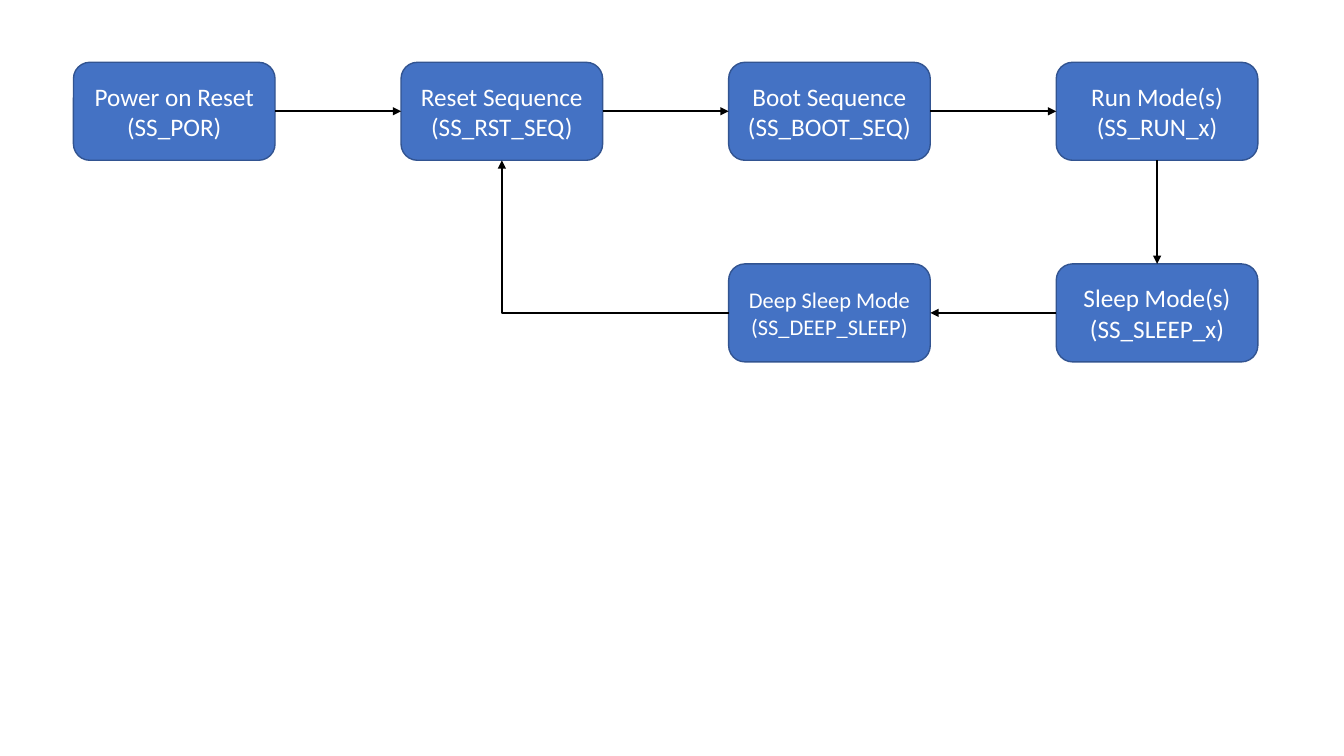
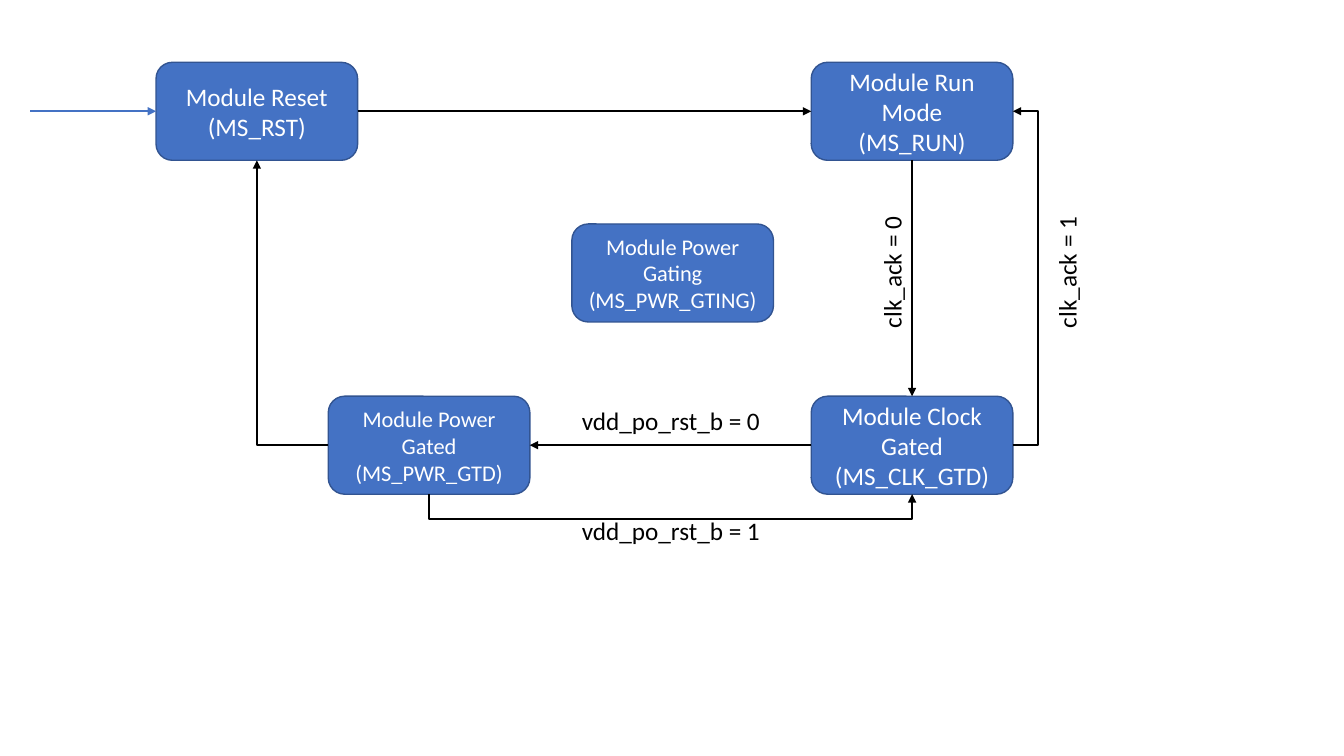
from lxml import etree
from pptx import Presentation
from pptx.dml.color import RGBColor
from pptx.enum.shapes import MSO_CONNECTOR, MSO_SHAPE
from pptx.enum.text import MSO_ANCHOR, PP_ALIGN
from pptx.oxml.ns import qn
from pptx.util import Pt

STRAIGHT = MSO_CONNECTOR.STRAIGHT
ROUNDED = MSO_SHAPE.ROUNDED_RECTANGLE
MIDDLE = MSO_ANCHOR.MIDDLE
CENTER = PP_ALIGN.CENTER

BLUE = RGBColor(0x44, 0x72, 0xC4)
DARK_BLUE = RGBColor(0x32, 0x54, 0x91)
WHITE = RGBColor(0xFF, 0xFF, 0xFF)
BLACK = RGBColor(0x00, 0x00, 0x00)

FONT = "Calibri"
BOX_WIDTH, BOX_HEIGHT = 144, 70
TOP_ROW = 44.5
DETOUR = Pt(18)  # distance of a looping arrow from its boxes

# Connection sites of a rounded rectangle
TOP, LEFT, BOTTOM, RIGHT = range(4)


def add_state(slide, text, left, top, size=18):
    shape = slide.shapes.add_shape(ROUNDED, Pt(left), Pt(top), Pt(BOX_WIDTH), Pt(BOX_HEIGHT))
    shape.shadow.inherit = False
    shape.fill.solid()
    shape.fill.fore_color.rgb = BLUE
    shape.line.color.rgb = DARK_BLUE
    shape.line.width = Pt(1)
    shape.text_frame.vertical_anchor = MIDDLE
    paragraph = shape.text_frame.paragraphs[0]
    paragraph.alignment = CENTER
    run = paragraph.add_run()
    run.text = text
    run.font.name, run.font.size = FONT, Pt(size)
    run.font.color.rgb = WHITE
    return shape


def style_arrow(shape, color=BLACK):
    shape.line.color.rgb = color
    shape.line.width = Pt(1.5)
    properties = shape._element.spPr
    etree.SubElement(properties.find(qn("a:ln")), qn("a:tailEnd"), type="triangle")
    etree.SubElement(properties, qn("a:effectLst"))


presentation = Presentation()
presentation.slide_width, presentation.slide_height = Pt(960), Pt(540)
blank = presentation.slide_layouts[6]
system_slide = presentation.slides.add_slide(blank)
module_slide = presentation.slides.add_slide(blank)

# System states: four columns, two rows
columns = [52.5 + 234 * index for index in range(4)]
second_row = 188.5
power_on = add_state(system_slide, "Power on Reset (SS_POR)", columns[0], TOP_ROW)
reset = add_state(system_slide, "Reset Sequence (SS_RST_SEQ)", columns[1], TOP_ROW)
boot = add_state(system_slide, "Boot Sequence (SS_BOOT_SEQ)", columns[2], TOP_ROW)
run_mode = add_state(system_slide, "Run Mode(s) (SS_RUN_x)", columns[3], TOP_ROW)
sleep = add_state(system_slide, "Sleep Mode(s) (SS_SLEEP_x)", columns[3], second_row)
deep_sleep = add_state(system_slide, "Deep Sleep Mode (SS_DEEP_SLEEP)", columns[2], second_row, 16)

# Module states
module_reset = add_state(module_slide, "Module Reset (MS_RST)", 111.5, TOP_ROW)
module_run = add_state(module_slide, "Module Run Mode (MS_RUN)", 579.5, TOP_ROW)
clock_gated = add_state(module_slide, "Module Clock Gated (MS_CLK_GTD)", 579.5, 283)
power_gated = add_state(module_slide, "Module Power Gated (MS_PWR_GTD)", 234.5, 283, 16)
add_state(module_slide, "Module Power Gating (MS_PWR_GTING)", 408.5, 160, 16)

# Straight transitions, attached to their states
transitions = [
    (system_slide, power_on, RIGHT, reset, LEFT),
    (system_slide, reset, RIGHT, boot, LEFT),
    (system_slide, boot, RIGHT, run_mode, LEFT),
    (system_slide, run_mode, BOTTOM, sleep, TOP),
    (system_slide, sleep, LEFT, deep_sleep, RIGHT),
    (module_slide, module_reset, RIGHT, module_run, LEFT),
    (module_slide, module_run, BOTTOM, clock_gated, TOP),
    (module_slide, clock_gated, LEFT, power_gated, RIGHT),
]
for slide, source, source_site, target, target_site in transitions:
    arrow = slide.shapes.add_connector(STRAIGHT, 0, 0, 0, 0)
    arrow.begin_connect(source, source_site)
    arrow.end_connect(target, target_site)
    style_arrow(arrow)

# Entry into module reset
entry_y = module_reset.top + module_reset.height // 2
entry = module_slide.shapes.add_connector(
    STRAIGHT, module_reset.left - Pt(90), entry_y, module_reset.left, entry_y)
entry.end_connect(module_reset, LEFT)
style_arrow(entry, BLUE)

# Bent transitions
half_width, half_height = Pt(BOX_WIDTH / 2), Pt(BOX_HEIGHT / 2)
routes = []
for slide, source, target in [(system_slide, deep_sleep, reset),
                              (module_slide, power_gated, module_reset)]:
    middle_y = source.top + half_height
    target_x = target.left + half_width
    routes.append((slide, [(source.left, middle_y), (target_x, middle_y),
                           (target_x, target.top + target.height)]))

bottom = power_gated.top + power_gated.height
power_x, clock_x = power_gated.left + half_width, clock_gated.left + half_width
routes.append((module_slide, [(power_x, bottom), (power_x, bottom + DETOUR),
                              (clock_x, bottom + DETOUR), (clock_x, bottom)]))

right = clock_gated.left + clock_gated.width
clock_y, run_y = clock_gated.top + half_height, module_run.top + half_height
routes.append((module_slide, [(right, clock_y), (right + DETOUR, clock_y),
                              (right + DETOUR, run_y), (right, run_y)]))

for slide, points in routes:
    builder = slide.shapes.build_freeform(*points[0])
    builder.add_line_segments(points[1:], close=False)
    arrow = builder.convert_to_shape()
    arrow.fill.background()
    style_arrow(arrow)

# Transition conditions
for text, left, top, width, rotation in [
    ("vdd_po_rst_b = 0", 408.5, 286, 143, 0),
    ("vdd_po_rst_b = 1", 408.5, 364.5, 143, 0),
    ("clk_ack = 0", 589.5, 179.5, 95, 270),
    ("clk_ack = 1", 714.5, 179.5, 95, 270),
]:
    label = module_slide.shapes.add_textbox(Pt(left), Pt(top), Pt(width), Pt(29))
    label.rotation = rotation
    label.text_frame.word_wrap = False
    run = label.text_frame.paragraphs[0].add_run()
    run.text = text
    run.font.name, run.font.size = FONT, Pt(18)
    run.font.color.rgb = BLACK

presentation.save("out.pptx")
